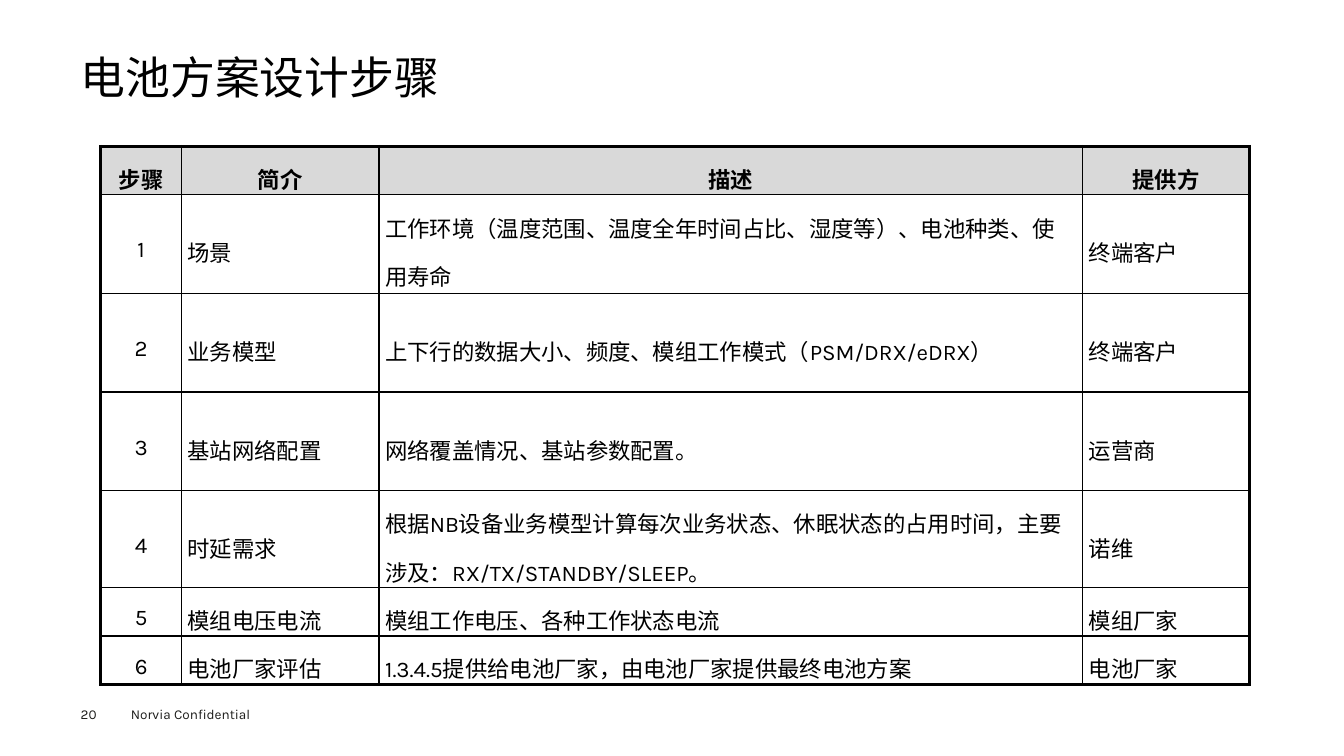
from lxml.etree import SubElement
from pptx import Presentation
from pptx.dml.color import RGBColor
from pptx.enum.text import MSO_ANCHOR, PP_ALIGN
from pptx.oxml.ns import qn
from pptx.util import Inches, Pt

FONT = "Karla"
BLACK, FOOTER_GREY, HEADER_FILL = "000000", "1D1D1B", "D9D9D9"
THIN, THICK = 1, 2.25

# Content
TITLE = "电池方案设计步骤"
PAGE_NUMBER = "20"
FOOTER = "Norvia Confidential"
HEADER = ("步骤", "简介", "描述", "提供方")
STEPS = [
    ("场景", "工作环境（温度范围、温度全年时间占比、湿度等）、电池种类、使用寿命", "终端客户"),
    ("业务模型", "上下行的数据大小、频度、模组工作模式（PSM/DRX/eDRX）", "终端客户"),
    ("基站网络配置", "网络覆盖情况、基站参数配置。", "运营商"),
    ("时延需求", "根据NB设备业务模型计算每次业务状态、休眠状态的占用时间，主要涉及：RX/TX/STANDBY/SLEEP。", "诺维"),
    ("模组电压电流", "模组工作电压、各种工作状态电流", "模组厂家"),
    ("电池厂家评估", "1.3.4.5提供给电池厂家，由电池厂家提供最终电池方案", "电池厂家"),
]
COLUMN_WIDTHS = (0.8, 1.96, 6.98, 1.65)
ROW_HEIGHTS = (0.48, 0.98, 0.98, 0.98, 0.96, 0.48, 0.48)


def color(value):
    return RGBColor.from_string(value)


def add_span(para, text, size, ink, bold=False):
    span = para.add_run()
    span.text = text
    span.font.name = FONT
    span.font.size = Pt(size)
    span.font.bold = bold
    span.font.color.rgb = color(ink)


def add_text(page, place, text, size, ink, inset=(0, 0), anchor=MSO_ANCHOR.TOP):
    box = page.shapes.add_textbox(*[Inches(length) for length in place])
    frame = box.text_frame
    frame.word_wrap = True
    frame.vertical_anchor = anchor
    frame.margin_left = frame.margin_right = Inches(inset[0])
    frame.margin_top = frame.margin_bottom = Inches(inset[1])
    para = frame.paragraphs[0]
    add_span(para, text, size, ink)
    return para


def set_borders(cell, widths):
    properties = cell._tc.get_or_add_tcPr()
    for index, (side, width) in enumerate(widths.items()):
        line = properties.makeelement(qn(f"a:{side}"), {"w": str(Pt(width))})
        fill = SubElement(line, qn("a:solidFill"))
        SubElement(fill, qn("a:srgbClr"), val=BLACK)
        properties.insert(index, line)


def fill_cell(cell, text, is_header, centred):
    cell.vertical_anchor = MSO_ANCHOR.MIDDLE
    cell.margin_left = cell.margin_right = Inches(0.06)
    cell.margin_top = cell.margin_bottom = 0
    if is_header:
        cell.fill.solid()
        cell.fill.fore_color.rgb = color(HEADER_FILL)
    else:
        cell.fill.background()
    para = cell.text_frame.paragraphs[0]
    para.alignment = PP_ALIGN.CENTER if centred else PP_ALIGN.LEFT
    para.line_spacing = 1.5
    para.space_before = Pt(8)
    add_span(para, text, 16, BLACK, bold=is_header)


def add_steps_table(page):
    rows = [HEADER] + [(str(number), *step) for number, step in enumerate(STEPS, 1)]
    last_row, last_column = len(rows) - 1, len(HEADER) - 1
    frame = page.shapes.add_table(
        len(rows), len(HEADER), Inches(1), Inches(1.45),
        Inches(sum(COLUMN_WIDTHS)), Inches(sum(ROW_HEIGHTS)))
    table = frame.table
    for column, width in zip(table.columns, COLUMN_WIDTHS):
        column.width = Inches(width)
    for row, height in zip(table.rows, ROW_HEIGHTS):
        row.height = Inches(height)
    for r, texts in enumerate(rows):
        for c, text in enumerate(texts):
            cell = table.cell(r, c)
            fill_cell(cell, text, r == 0, r == 0 or c == 0)
            # Thick outer frame, thin inner grid
            set_borders(cell, {
                "lnL": THICK if c == 0 else THIN,
                "lnR": THICK if c == last_column else THIN,
                "lnT": THICK if r == 0 else THIN,
                "lnB": THICK if r == last_row else THIN,
            })


def main():
    deck = Presentation()
    deck.slide_width, deck.slide_height = Inches(13.33), Inches(7.5)
    page = deck.slides.add_slide(deck.slide_layouts[6])

    # Footer
    add_text(page, (1.2, 6.95, 1.6, 0.27), FOOTER, 9.7, FOOTER_GREY, inset=(0.1, 0.05))
    add_text(page, (0.8, 7, 0.55, 0.16), PAGE_NUMBER, 9.7, FOOTER_GREY)

    # Title
    title = add_text(page, (0.8, 0.49, 11.73, 0.54), TITLE, 32, BLACK, anchor=MSO_ANCHOR.BOTTOM)
    title.line_spacing = 0.9

    # Table of steps
    add_steps_table(page)
    deck.save("out.pptx")


if __name__ == "__main__":
    main()
